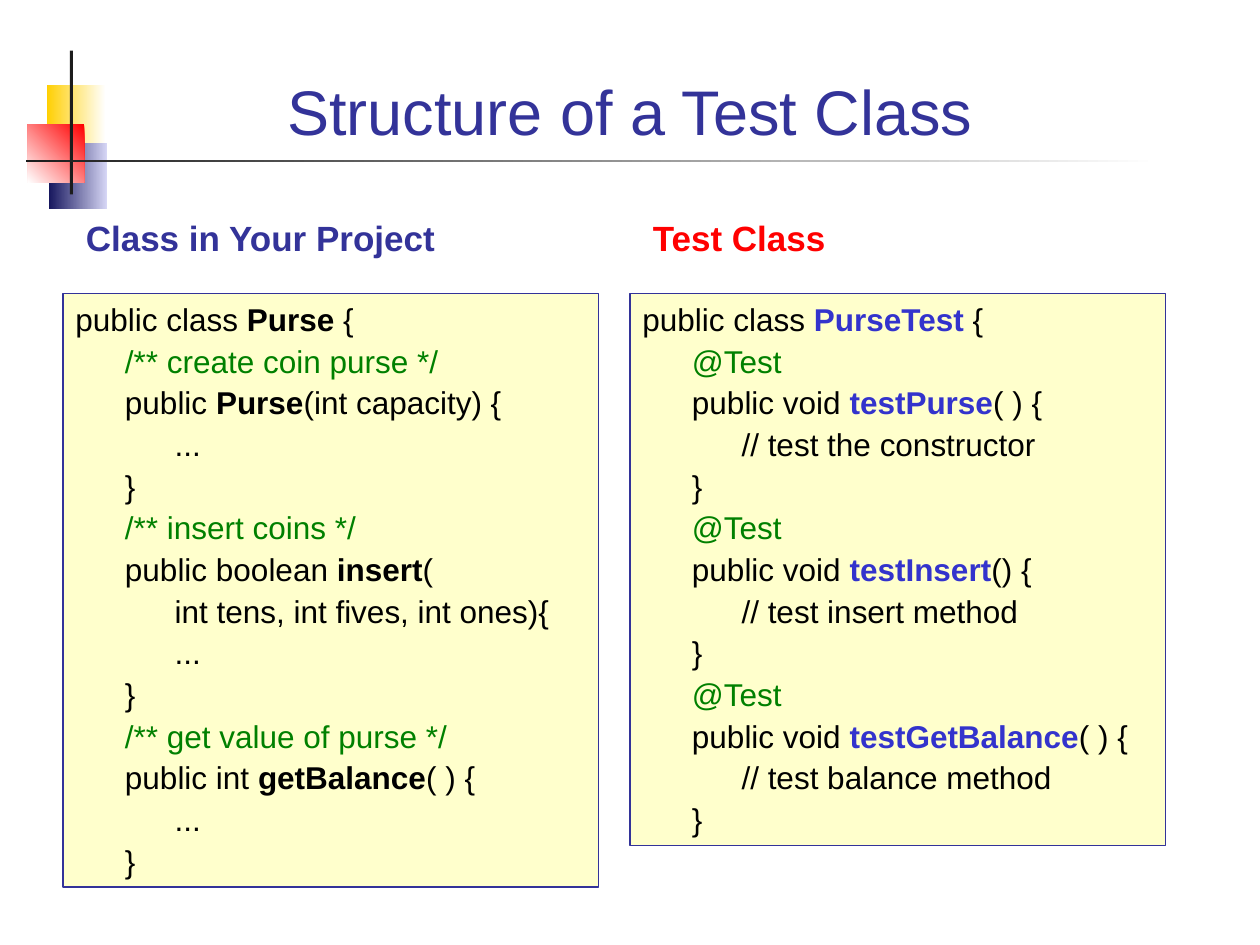
"""Build the slide that sets a project class beside its test class."""
from lxml import etree
from pptx import Presentation
from pptx.dml.color import RGBColor
from pptx.enum.shapes import MSO_SHAPE
from pptx.enum.text import MSO_ANCHOR, PP_ALIGN
from pptx.oxml.ns import qn
from pptx.util import Cm, Pt

RECTANGLE = MSO_SHAPE.RECTANGLE
TOP, BOTTOM = MSO_ANCHOR.TOP, MSO_ANCHOR.BOTTOM
LEFT, CENTER = PP_ALIGN.LEFT, PP_ALIGN.CENTER

THEME = {
    "font": "Arial", "title_size": 36, "heading_size": 20, "code_size": 18,
    "navy": "333399", "red": "FF0000", "black": "000000", "green": "008000",
    "blue": "3333CC", "cream": "FFFFCC", "white": "FFFFFF", "gold": "FFCF01",
    "pale_blue": "D6D6F5", "deep_blue": "17175E", "charcoal": "1C1C1C",
}

TITLE = "Structure of a Test Class"
HEADINGS = [("Class in Your Project", "navy"), ("\tTest Class", "red")]

PURSE_CODE = [
    (0, ["public class ", ("Purse", "black", True), " {"]),
    (1, [("/** create coin purse */", "green", False)]),
    (1, ["public ", ("Purse", "black", True), "(int capacity) {"]),
    (2, ["..."]),
    (1, ["}"]),
    (1, [("/** insert coins */", "green", False)]),
    (1, ["public boolean ", ("insert", "black", True), "("]),
    (2, ["int tens, int fives, int ones){"]),
    (2, ["..."]),
    (1, ["}"]),
    (1, [("/** get value of purse */", "green", False)]),
    (1, ["public int ", ("getBalance", "black", True), "( ) {"]),
    (2, ["..."]),
    (1, ["}"]),
]
TEST_METHODS = [
    ("testPurse", "( ) {", "// test the constructor"),
    ("testInsert", "() {", "// test insert method"),
    ("testGetBalance", "( ) {", "// test balance method"),
]
TEST_CODE = [(0, ["public class ", ("PurseTest", "blue", True), " {"])]
for method, opening, comment in TEST_METHODS:
    TEST_CODE += [
        (1, [("@Test", "green", False)]),
        (1, ["public void ", (method, "blue", True), opening]),
        (2, [comment]),
        (1, ["}"]),
    ]

CODE_PANELS = [(1.27, 11.96, PURSE_CODE), (12.7, 11.13, TEST_CODE)]
PANEL_TOP, PANEL_WIDTH = 5.92, 10.8
CODE_TABS = range(1, 8)
HEADING_TABS = [11.43]

ORNAMENTS = [
    ((0.94, 1.71, 1.19, 1.32), ("white", "gold"), 180),
    ((0.99, 2.89, 1.17, 1.32), ("pale_blue", "deep_blue"), 180),
    ((0.56, 2.51, 1.14, 1.17), ("red", "white"), 225),
    ((1.41, 1.02, 0.06, 2.9), ("charcoal", "charcoal"), 180),
    ((0.53, 3.23, 22.81, 0.04), ("white", "charcoal"), 180),
]


def color(name):
    return RGBColor.from_string(THEME[name])


def add_rectangle(slide, box):
    shape = slide.shapes.add_shape(RECTANGLE, *map(Cm, box))
    shape.shadow.inherit = False
    return shape


def add_ornament(slide, box, stops, angle):
    shape = add_rectangle(slide, box)
    shape.line.fill.background()
    if stops[0] == stops[1]:
        shape.fill.solid()
        shape.fill.fore_color.rgb = color(stops[0])
        return
    shape.fill.gradient()
    shape.fill.gradient_angle = angle
    for stop, name in zip(shape.fill.gradient_stops, stops):
        stop.color.rgb = color(name)


def set_frame(shape, anchor):
    frame = shape.text_frame
    frame.word_wrap = True
    frame.vertical_anchor = anchor
    frame.margin_left = frame.margin_right = Cm(0.25)
    frame.margin_top = frame.margin_bottom = Cm(0.13)
    return frame


def style_paragraph(paragraph, size, alignment=LEFT, tabs=()):
    paragraph.alignment = alignment
    if tabs:
        properties = paragraph._p.get_or_add_pPr()
        tab_list = etree.SubElement(properties, qn("a:tabLst"))
        for position in tabs:
            etree.SubElement(tab_list, qn("a:tab"), pos=str(Cm(position)), algn="l")
    paragraph.font.name = THEME["font"]
    paragraph.font.size = Pt(THEME[size])


def add_run(paragraph, text, color_name, bold=None):
    run = paragraph.add_run()
    run.text = text
    run.font.color.rgb = color(color_name)
    run.font.bold = bold


def add_title(slide):
    shape = slide.shapes.add_textbox(Cm(1.7), Cm(0.71), Cm(22), Cm(2.41))
    paragraph = set_frame(shape, BOTTOM).paragraphs[0]
    style_paragraph(paragraph, "title_size", CENTER)
    paragraph.font.color.rgb = color("navy")
    paragraph.text = TITLE


def add_headings(slide):
    shape = slide.shapes.add_textbox(Cm(1.48), Cm(4.24), Cm(22.43), Cm(1.12))
    paragraph = set_frame(shape, TOP).paragraphs[0]
    style_paragraph(paragraph, "heading_size", tabs=HEADING_TABS)
    paragraph.font.bold = True
    for text, color_name in HEADINGS:
        add_run(paragraph, text, color_name)


def add_code_panel(slide, left, height, lines):
    shape = add_rectangle(slide, (left, PANEL_TOP, PANEL_WIDTH, height))
    shape.fill.solid()
    shape.fill.fore_color.rgb = color("cream")
    shape.line.color.rgb = color("navy")
    shape.line.width = Pt(0.75)
    frame = set_frame(shape, TOP)
    for index, (depth, pieces) in enumerate(lines):
        paragraph = frame.add_paragraph() if index else frame.paragraphs[0]
        if index:
            paragraph.space_before = Pt(2.2)
        style_paragraph(paragraph, "code_size", tabs=CODE_TABS)
        indent = "\t" * depth
        for piece in pieces:
            text, color_name, bold = (piece, "black", False) if isinstance(piece, str) else piece
            add_run(paragraph, indent + text, color_name, bold)
            indent = ""


def main():
    presentation = Presentation()
    presentation.slide_width, presentation.slide_height = Cm(25.4), Cm(19.05)
    slide = presentation.slides.add_slide(presentation.slide_layouts[6])
    for box, stops, angle in ORNAMENTS:
        add_ornament(slide, box, stops, angle)
    add_title(slide)
    add_headings(slide)
    for left, height, lines in CODE_PANELS:
        add_code_panel(slide, left, height, lines)
    presentation.save("out.pptx")


if __name__ == "__main__":
    main()
